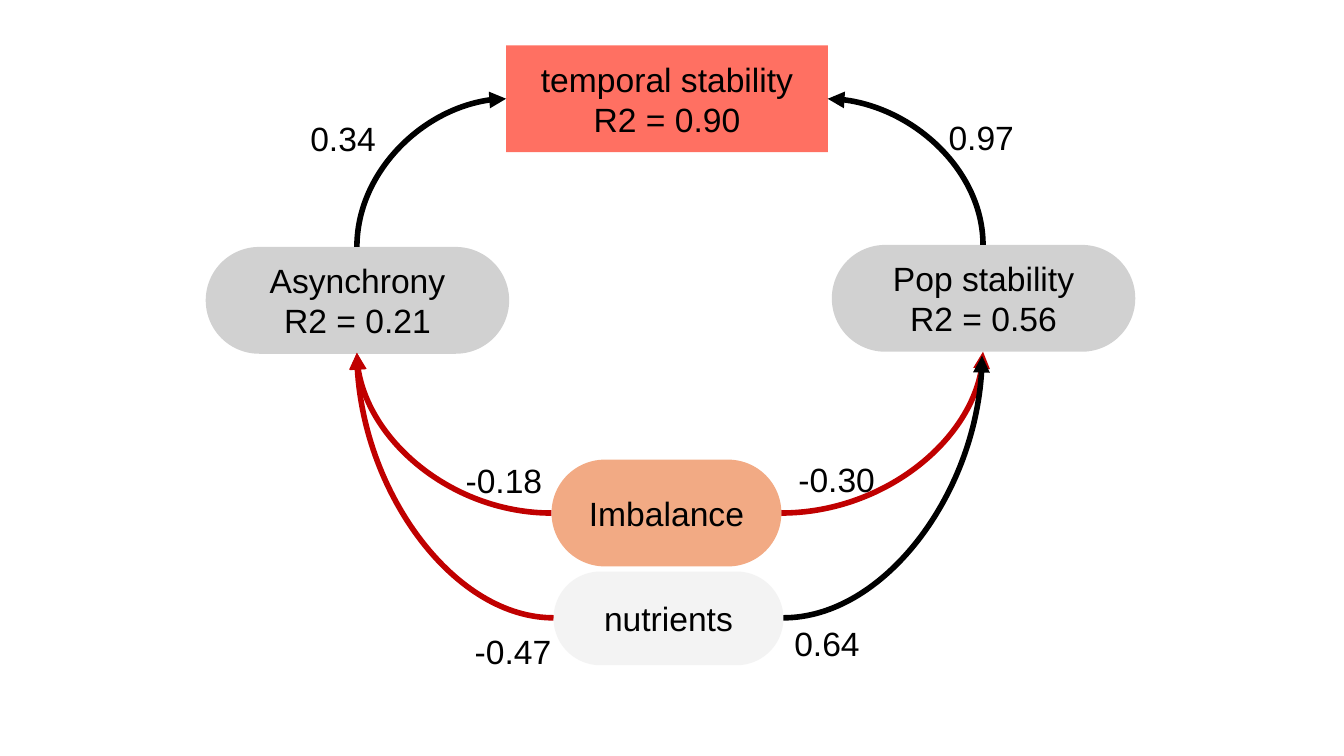
"""Build a path diagram linking nutrients and imbalance to temporal stability."""
from lxml import etree
from pptx import Presentation
from pptx.dml.color import RGBColor
from pptx.enum import shapes, text
from pptx.oxml import ns
from pptx.util import Inches, Pt

THEME = {
    "font": "Arial", "size": Pt(24), "line": Pt(4),
    "black": RGBColor.from_string("000000"),
    "red": RGBColor.from_string("C00000"),
    "coral": RGBColor.from_string("FF7062"),
    "grey": RGBColor.from_string("D1D1D1"),
    "orange": RGBColor.from_string("F2AA84"),
    "pale": RGBColor.from_string("E8E8E8"),
}


def write(sp, lines, align):
    tf = sp.text_frame
    tf.word_wrap = True
    for i, line in enumerate(lines):
        p = tf.paragraphs[0] if i == 0 else tf.add_paragraph()
        p.alignment = align
        r = p.add_run()
        r.text = line
        r.font.name, r.font.size = THEME["font"], THEME["size"]
        r.font.color.rgb = THEME["black"]


prs = Presentation()
prs.slide_width, prs.slide_height = Inches(13.33), Inches(7.5)
s = prs.slides.add_slide(prs.slide_layouts[6])

boxes = [
    (5.49, 5.67, 2.28, 0.93, 0.5, "pale", ["nutrients"]),
    (5.02, 0.45, 3.19, 1.06, 0, "coral", ["temporal stability", "R2 = 0.90"]),
    (2.04, 2.45, 3.01, 1.06, 0.5, "grey", ["Asynchrony", "R2 = 0.21"]),
    (5.47, 4.56, 2.28, 1.06, 0.5, "orange", ["Imbalance"]),
    (8.25, 2.43, 3.01, 1.06, 0.5, "grey", ["Pop stability", "R2 = 0.56"]),
]
for x, y, w, h, rounding, color, lines in boxes:
    sp = s.shapes.add_shape(shapes.MSO_SHAPE.ROUNDED_RECTANGLE,
                            Inches(x), Inches(y), Inches(w), Inches(h))
    sp.adjustments[0] = rounding
    sp.shadow.inherit = False
    sp.fill.solid()
    sp.fill.fore_color.rgb = THEME[color]
    sp.line.fill.background()
    sp.text_frame.vertical_anchor = text.MSO_ANCHOR.MIDDLE
    write(sp, lines, text.PP_ALIGN.CENTER)
    if color == "pale":
        clr = sp._element.spPr.find(".//" + ns.qn("a:srgbClr"))
        etree.SubElement(clr, ns.qn("a:alpha"), val="50000")

coefficients = [
    (9.31, 1.11, "0.97"), (7.82, 4.5, "-0.30"), (7.78, 6.13, "0.64"),
    (4.52, 4.51, "-0.18"), (2.98, 1.12, "0.34"), (4.61, 6.21, "-0.47"),
]
for x, y, value in coefficients:
    sp = s.shapes.add_textbox(Inches(x), Inches(y), Inches(1), Inches(0.5))
    write(sp, [value], text.PP_ALIGN.LEFT)

arrows = [
    (5.47, 5.09, 3.54, 3.5, "red", "tailEnd"),
    (5.02, 0.98, 3.54, 2.45, "black", "headEnd"),
    (7.75, 5.09, 9.75, 3.49, "red", "tailEnd"),
    (8.21, 0.98, 9.75, 2.43, "black", "headEnd"),
    (7.77, 6.13, 9.74, 3.53, "black", "tailEnd"),
    (5.49, 6.13, 3.54, 3.5, "red", "tailEnd"),
]
for x1, y1, x2, y2, color, arrow_end in arrows:
    c = s.shapes.add_connector(shapes.MSO_CONNECTOR.CURVE,
                               Inches(x1), Inches(y1), Inches(x2), Inches(y2))
    c.line.color.rgb = THEME[color]
    c.line.width = THEME["line"]
    spPr = c._element.spPr
    spPr.find(ns.qn("a:prstGeom")).set("prst", "curvedConnector2")
    etree.SubElement(spPr.find(ns.qn("a:ln")), ns.qn("a:" + arrow_end), type="triangle")
    etree.SubElement(spPr, ns.qn("a:effectLst"))

prs.save("out.pptx")
